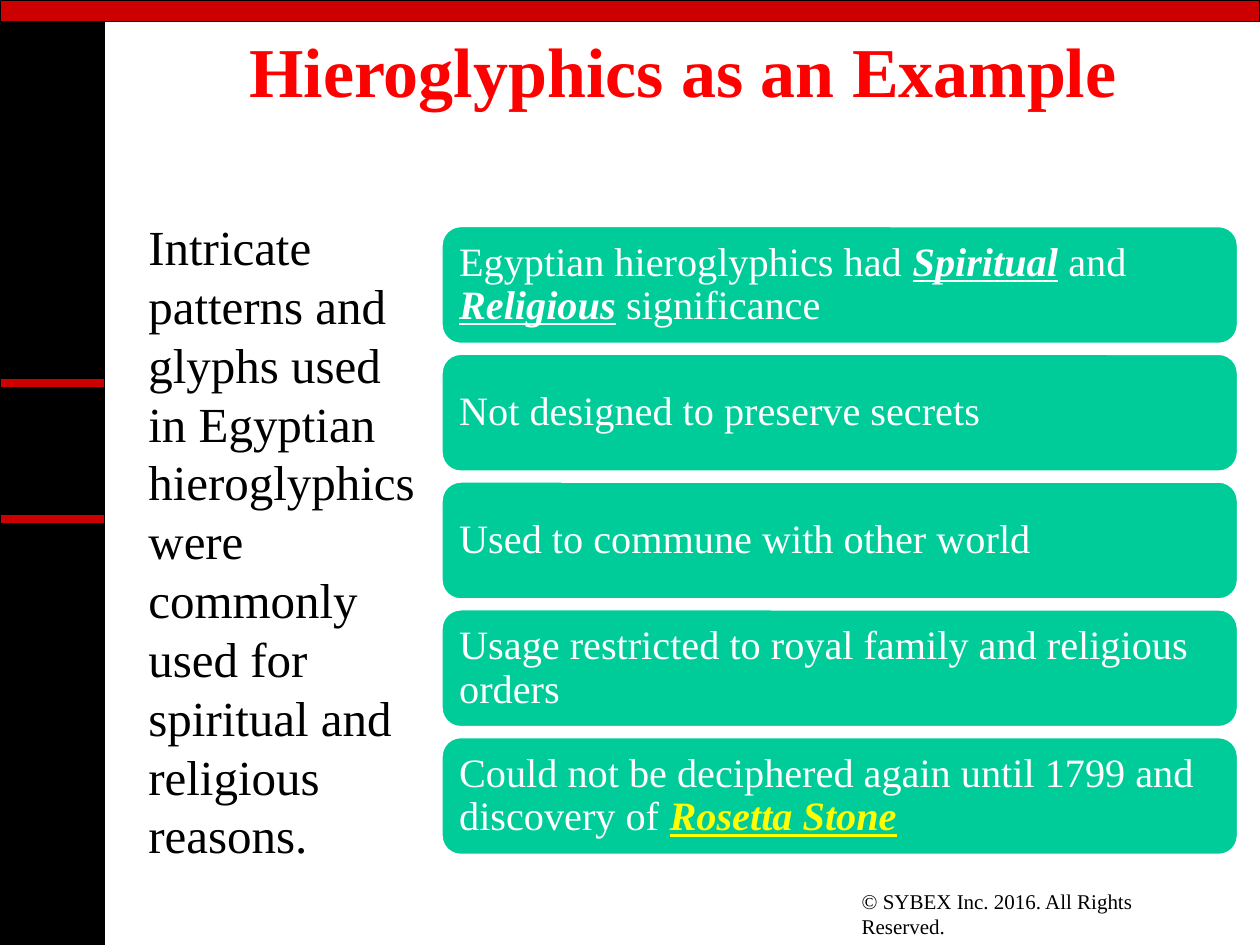
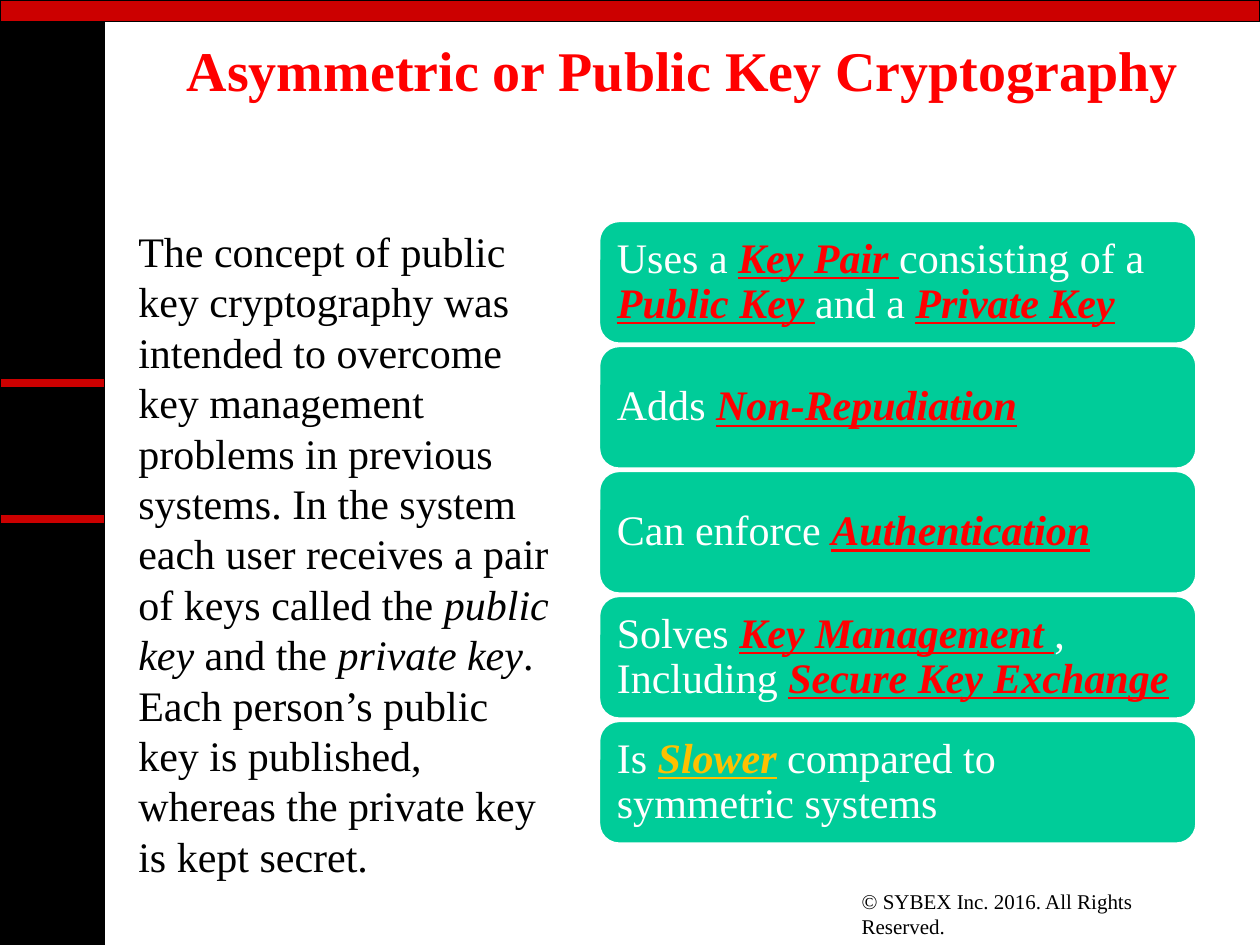
from pptx import Presentation
from pptx.dml.color import RGBColor
from pptx.enum import shapes, text
from pptx.util import Inches, Pt

BLACK = RGBColor(0x00, 0x00, 0x00)
WHITE = RGBColor(0xFF, 0xFF, 0xFF)
BAND_RED = RGBColor(0xCC, 0x00, 0x00)
RED = RGBColor(0xFF, 0x00, 0x00)
GREEN = RGBColor(0x00, 0xCC, 0x99)
YELLOW = RGBColor(0xFF, 0xFF, 0x00)
AMBER = RGBColor(0xFF, 0xC0, 0x00)
FONT_NAME = "Times New Roman"
TITLE_ONLY_LAYOUT = 5

BANDS = [
    ((0, 0, 0.83, 7.5), BLACK),
    ((0, 4.08, 0.83, 0.08), BAND_RED),
    ((0, 0, 10, 0.17), BAND_RED),
    ((0, 3, 0.83, 0.08), BAND_RED),
]


def key_term(words, color):
    """Return a bold, italic, underlined piece of text."""
    return words, {"bold": True, "italic": True, "underline": True, "color": color}


def italic(words):
    """Return an italic piece of text."""
    return words, {"italic": True}


def write_pieces(paragraph, pieces, size, color):
    """Write plain strings and styled pieces as runs of one paragraph."""
    for piece in pieces:
        words, style = (piece, {}) if isinstance(piece, str) else piece
        run = paragraph.add_run()
        run.text = words
        run.font.name = FONT_NAME
        run.font.size = Pt(size)
        run.font.color.rgb = style.get("color", color)
        run.font.bold = style.get("bold", False)
        run.font.italic = style.get("italic", False)
        run.font.underline = style.get("underline", False)


def add_block(slide, preset, box, fill, line, line_width):
    """Add a filled, outlined shape without shadow."""
    shape = slide.shapes.add_shape(preset, *map(Inches, box))
    shape.shadow.inherit = False
    shape.fill.solid()
    shape.fill.fore_color.rgb = fill
    shape.line.color.rgb = line
    shape.line.width = Pt(line_width)
    return shape


def add_text(slide, box, pieces, size):
    """Add a wrapped black text box."""
    frame = slide.shapes.add_textbox(*map(Inches, box)).text_frame
    frame.word_wrap = True
    write_pieces(frame.paragraphs[0], pieces, size, BLACK)


def add_frame(slide):
    """Add the bands and the copyright footer shared by all slides."""
    for box, fill in BANDS:
        add_block(slide, shapes.MSO_SHAPE.RECTANGLE, box, fill, BLACK, 0.75)
    add_text(slide, (6.74, 7, 2.94, 0.3), ["© SYBEX Inc. 2016. All Rights Reserved."], 12)


def set_title(slide, words, size):
    """Place and format the title placeholder."""
    title = slide.shapes.title
    title.left, title.top, title.width, title.height = map(Inches, (1.17, 0.3, 8.5, 0.5))
    frame = title.text_frame
    frame.auto_size = text.MSO_AUTO_SIZE.NONE
    frame.vertical_anchor = text.MSO_ANCHOR.MIDDLE
    paragraph = frame.paragraphs[0]
    paragraph.alignment = text.PP_ALIGN.CENTER
    write_pieces(paragraph, [(words, {"bold": True})], size, RED)


def add_cards(slide, box, cards, gap, size):
    """Stack equal rounded cards with equal gaps inside the box."""
    left, top, width, height = box
    card_height = (height - gap * (len(cards) - 1)) / len(cards)
    for index, pieces in enumerate(cards):
        card_box = (left, top + index * (card_height + gap), width, card_height)
        card = add_block(slide, shapes.MSO_SHAPE.ROUNDED_RECTANGLE, card_box, GREEN, WHITE, 2)
        frame = card.text_frame
        frame.word_wrap = True
        frame.vertical_anchor = text.MSO_ANCHOR.MIDDLE
        frame.margin_left = frame.margin_right = Inches(0.1)
        frame.margin_top = frame.margin_bottom = Inches(0.1)
        paragraph = frame.paragraphs[0]
        paragraph.alignment = text.PP_ALIGN.LEFT
        paragraph.line_spacing = 0.9
        write_pieces(paragraph, pieces, size, WHITE)


def add_slide(presentation, title, title_size):
    """Add a slide with the shared frame and a title."""
    slide = presentation.slides.add_slide(presentation.slide_layouts[TITLE_ONLY_LAYOUT])
    add_frame(slide)
    set_title(slide, title, title_size)
    return slide


def build_hieroglyphics(presentation):
    """Build the slide on hieroglyphics."""
    slide = add_slide(presentation, "Hieroglyphics as an Example", 40)
    cards = [
        ["Egyptian hieroglyphics had ", key_term("Spiritual", WHITE), " and ",
         key_term("Religious", WHITE), " significance"],
        ["Not designed to preserve secrets"],
        ["Used to commune with other world"],
        ["Usage restricted to royal family and religious orders"],
        ["Could not be deciphered again until 1799 and discovery of ",
         key_term("Rosetta Stone", YELLOW)],
    ]
    add_cards(slide, (3.5, 1.79, 6.33, 5), cards, 0.07, 23)
    summary = ["Intricate patterns and glyphs used in Egyptian hieroglyphics were "
               "commonly used for spiritual and religious reasons."]
    add_text(slide, (1.08, 1.67, 2.33, 5.28), summary, 28)


def build_public_key(presentation):
    """Build the slide on public key cryptography."""
    slide = add_slide(presentation, "Asymmetric or Public Key Cryptography", 32)
    cards = [
        ["Uses a ", key_term("Key Pair ", RED), "consisting of a ",
         key_term("Public Key ", RED), "and a ", key_term("Private Key", RED)],
        ["Adds ", key_term("Non-Repudiation", RED)],
        ["Can enforce ", key_term("Authentication", RED)],
        ["Solves ", key_term("Key Management ", RED), ", Including ",
         key_term("Secure Key Exchange", RED)],
        ["Is ", key_term("Slower", AMBER), " compared to symmetric systems"],
    ]
    add_cards(slide, (4.75, 1.75, 4.75, 4.95), cards, 0.01, 24)
    summary = [
        "The concept of public key cryptography was intended to overcome key management "
        "problems in previous systems. In the system each user receives a pair of keys "
        "called the ",
        italic("public key"), " and the ", italic("private key"),
        ". Each person’s public key is published, whereas the private key is kept secret.",
    ]
    add_text(slide, (1, 1.74, 3.5, 4.95), summary, 24)


def main():
    """Build and save the presentation."""
    presentation = Presentation()
    presentation.slide_width = Inches(10)
    presentation.slide_height = Inches(7.5)
    build_hieroglyphics(presentation)
    build_public_key(presentation)
    presentation.save("out.pptx")


if __name__ == "__main__":
    main()
